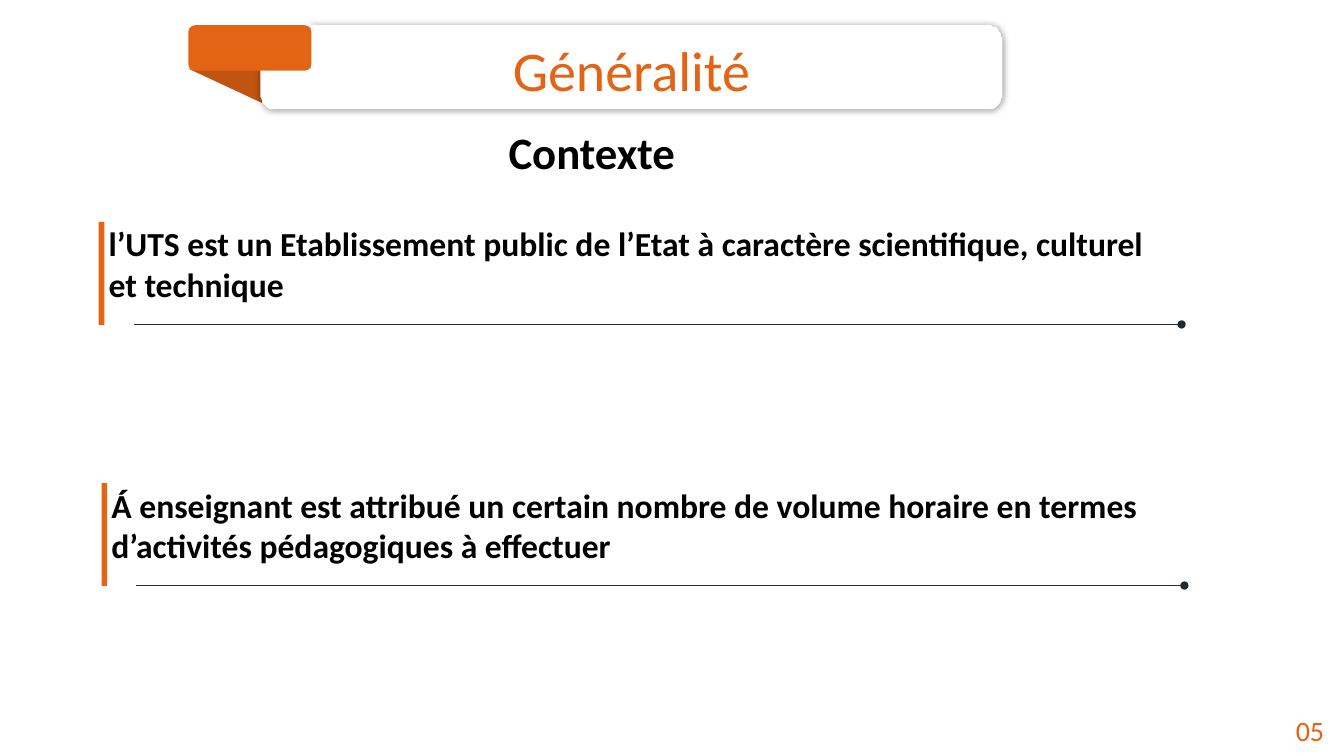
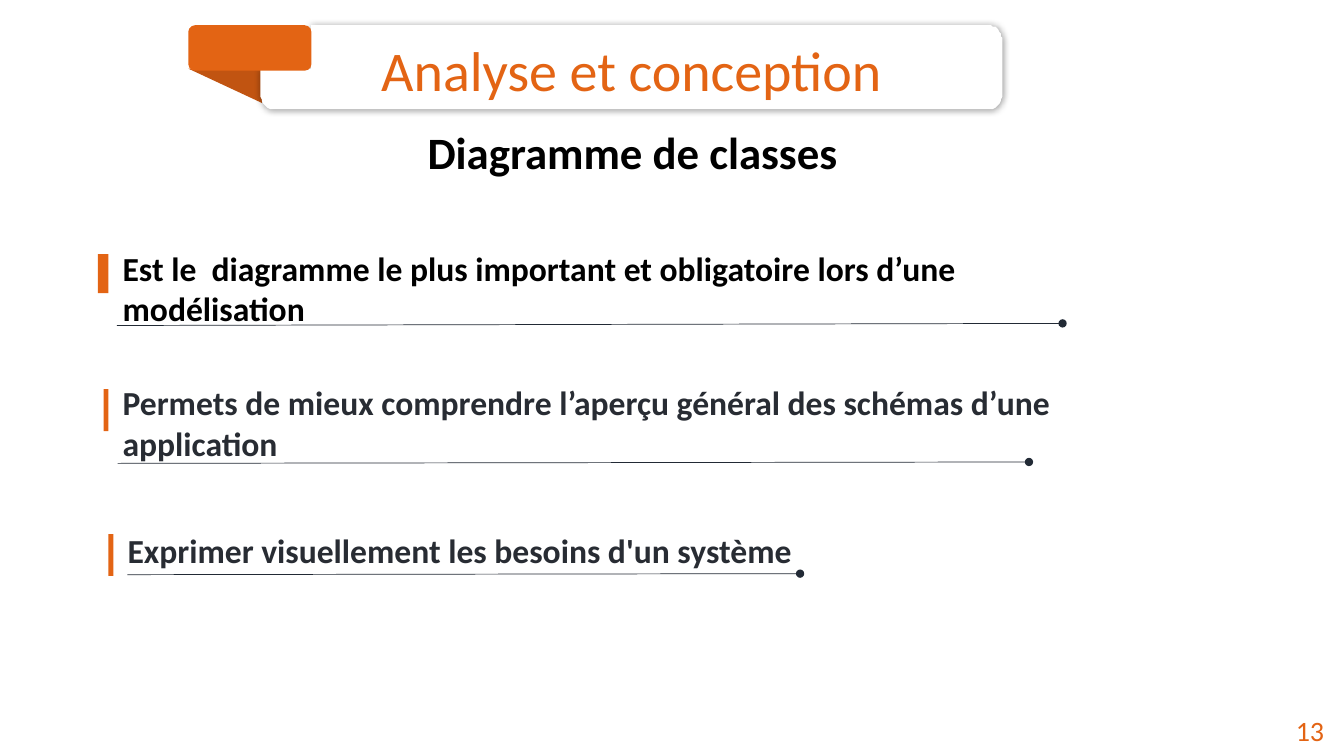
from dataclasses import dataclass
from math import cos, radians, sin

from lxml import etree
from pptx import Presentation
from pptx.dml.color import RGBColor
from pptx.enum import shapes, text
from pptx.oxml import parse_xml
from pptx.oxml.ns import nsdecls, qn
from pptx.util import Pt


@dataclass(frozen=True)
class Theme:
    font: str = "Calibri"
    accent: str = "E36414"
    fold: str = "C15411"
    panel: str = "FFFFFF"
    black: str = "000000"
    ink: str = "282C33"
    rule: str = "222A35"
    title: int = 40
    subtitle: int = 32
    body: int = 24
    page: int = 20


T = Theme()


@dataclass
class Item:
    """One statement; bar (x, y, w, h) and rule (x1, y1, x2, y2) are relative to at."""
    text: str
    at: tuple
    width: float
    bar: tuple
    rule: tuple
    height: float = 65.5
    color: str = T.black
    spacing: float = 1.0
    after: float = 0


def rgb(color):
    return RGBColor.from_string(color)


def paint(sp, color):
    sp.shadow.inherit = False
    sp.fill.solid()
    sp.fill.fore_color.rgb = rgb(color)
    sp.line.fill.background()
    return sp


def add_block(s, kind, x, y, w, h, color):
    return paint(s.shapes.add_shape(kind, Pt(x), Pt(y), Pt(w), Pt(h)), color)


def write(sp, content, size, color, bold=False, align=text.PP_ALIGN.LEFT):
    tf = sp.text_frame
    tf.word_wrap = True
    tf.auto_size = text.MSO_AUTO_SIZE.NONE
    tf.vertical_anchor = text.MSO_ANCHOR.TOP
    tf.text = content
    p = tf.paragraphs[0]
    p.alignment = align
    p.font.name, p.font.size, p.font.bold = T.font, Pt(size), bold
    p.font.color.rgb = rgb(color)
    return p


def add_text(s, x, y, w, h, *args, **kwargs):
    return write(s.shapes.add_textbox(Pt(x), Pt(y), Pt(w), Pt(h)), *args, **kwargs)


def add_rule(s, x1, y1, x2, y2):
    """Thin line that ends in a dot."""
    ln = s.shapes.add_connector(shapes.MSO_CONNECTOR.STRAIGHT, Pt(x1), Pt(y1), Pt(x2), Pt(y2))
    ln.line.color.rgb = rgb(T.rule)
    ln.line.width = Pt(0.5)
    etree.SubElement(ln.line._get_or_add_ln(), qn("a:tailEnd"), type="oval")
    etree.SubElement(ln.element.spPr, qn("a:effectLst"))


def corner(cx, cy, r, start):
    """Points of a quarter circle, clockwise from the start angle."""
    angles = [radians(start + step) for step in range(0, 91, 10)]
    return [(cx + r * cos(a), cy + r * sin(a)) for a in angles]


def add_panel(s, x, y, w, h, notch_w, notch_h, r=9.5):
    """Rounded panel with a notch at its top left and a soft shadow."""
    pts = [(x + notch_w, y)]
    pts += corner(x + w - r, y + r, r, 270)
    pts += corner(x + w - r, y + h - r, r, 0)
    pts += corner(x + r, y + h - r, r, 90)
    pts += [(x, y + notch_h), (x + notch_w, y + notch_h)]
    fb = s.shapes.build_freeform(*pts[0], scale=Pt(1))
    fb.add_line_segments(pts[1:], close=True)
    sp = paint(fb.convert_to_shape(), T.panel)
    sp.element.spPr.find(qn("a:effectLst")).append(parse_xml(
        f'<a:outerShdw {nsdecls("a")} blurRad="{Pt(5)}" dist="0" dir="0" algn="ctr" '
        f'rotWithShape="0"><a:srgbClr val="{T.black}"><a:alpha val="40000"/>'
        '</a:srgbClr></a:outerShdw>'))


def add_banner(s, title, x=134.5, y=18, w=581, h=60.5):
    """Folded ribbon with the slide title."""
    fold = add_block(s, shapes.MSO_SHAPE.RIGHT_TRIANGLE, x, y + 31, 52.5, 24.5, T.fold)
    fold.rotation = 180
    add_panel(s, x + 52, y, w - 52, h, 36, 31)
    tab = add_block(s, shapes.MSO_SHAPE.ROUNDED_RECTANGLE, x, y, 88, 32.5, T.accent)
    tab.adjustments[0] = 0.15
    sp = s.shapes.title
    sp.left, sp.top, sp.width, sp.height = Pt(x + 114.5), Pt(y + 3.5), Pt(404), Pt(55.5)
    write(sp, title, T.title, T.accent, align=text.PP_ALIGN.CENTER)
    s.shapes.element.append(sp.element)  # bring the title in front of the panel


def add_item(s, item):
    x, y = item.at
    p = add_text(s, x, y, item.width, item.height, item.text, T.body, item.color, bold=True)
    p.line_spacing, p.space_after = item.spacing, Pt(item.after)
    x1, y1, x2, y2 = item.rule
    add_rule(s, x + x1, y + y1, x + x2, y + y2)
    dx, dy, w, h = item.bar
    add_block(s, shapes.MSO_SHAPE.RECTANGLE, x + dx, y + dy, w, h, T.accent)


def add_content_slide(prs, title, subtitle, subtitle_w, page, items):
    s = prs.slides.add_slide(prs.slide_layouts[5])
    add_banner(s, title)
    add_text(s, 230.5, 85.5, subtitle_w, 46, subtitle, T.subtitle, T.black,
             bold=True, align=text.PP_ALIGN.CENTER)
    for item in items:
        add_item(s, item)
    add_text(s, 918.5, 506, 41, 31.5, page, T.page, T.accent)


def main():
    prs = Presentation()
    prs.slide_width, prs.slide_height = Pt(960), Pt(540)

    tall = dict(width=774, bar=(0, 2.5, 4, 73.5), rule=(25, 75.75, 773.5, 75.75))
    add_content_slide(prs, "Généralité", "Contexte", 384.5, "05", [
        Item("l’UTS est un Etablissement public de l’Etat à caractère scientifique, "
             "culturel et technique", (70.5, 156), **tall),
        Item("Á enseignant est attribué un certain nombre de volume horaire en termes "
             "d’activités pédagogiques à effectuer", (72.5, 342.5), **tall),
    ])

    thin = dict(bar=(-6.5, 8.5, 3.5, 30), color=T.ink)
    add_content_slide(prs, "Analyse et conception", "Diagramme de classes", 443, "13", [
        Item("Est le  diagramme le plus important et obligatoire lors d’une modélisation",
             (80.5, 173.5), 723.5, bar=(-10.5, 8, 7.5, 28), rule=(3, 59, 678.5, 57.5)),
        Item("Permets de mieux comprendre l’aperçu général des schémas d’une application",
             (80.5, 269.5), 698.5, rule=(3.5, 61.5, 654.5, 60.5), **thin),
        Item("Exprimer visuellement les besoins d'un système", (84, 373), 616.5,
             rule=(7, 37.5, 487.5, 36.75), height=36.5, spacing=1.07, after=8, **thin),
    ])
    prs.save("out.pptx")


if __name__ == "__main__":
    main()
